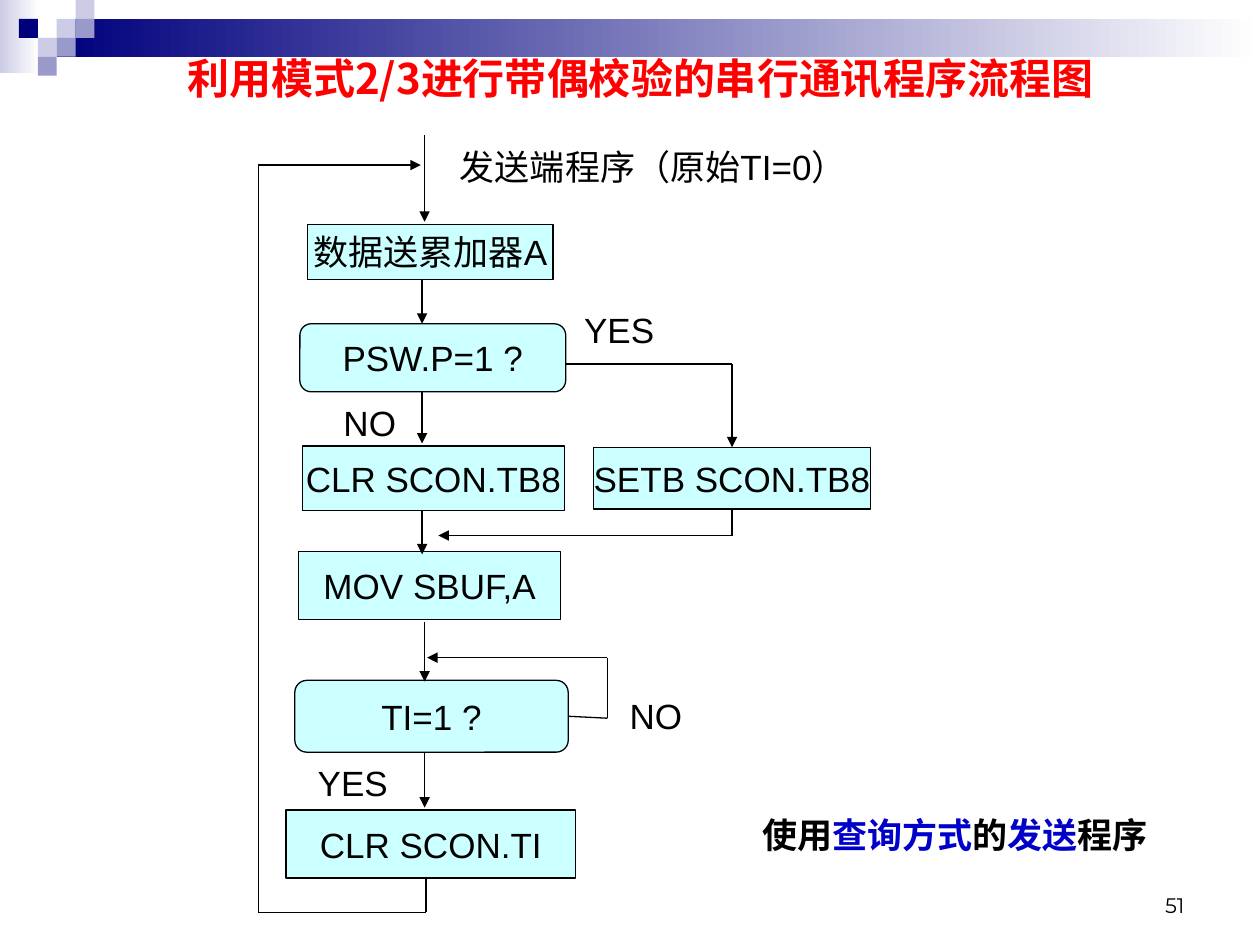
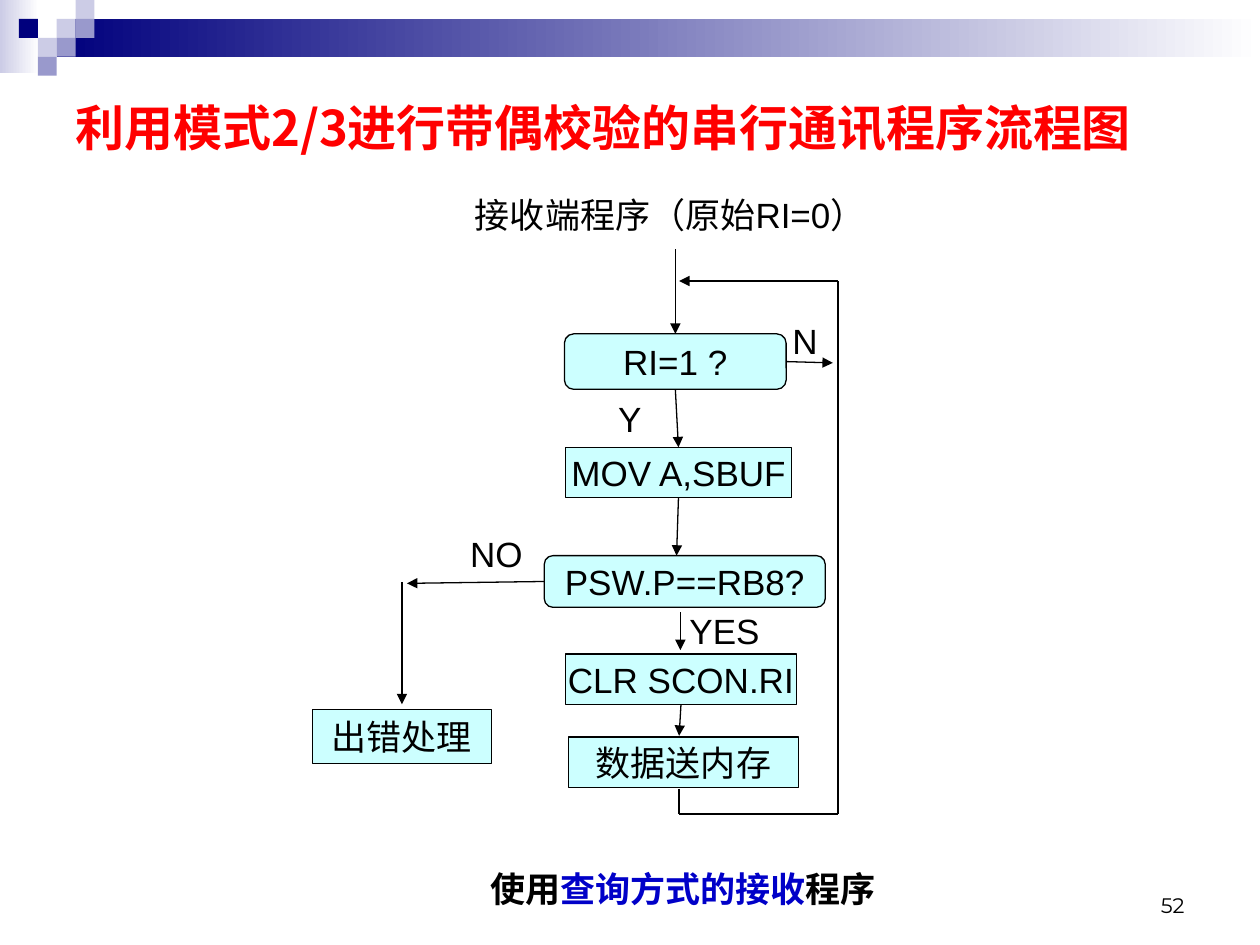
from itertools import pairwise

from lxml import etree
from pptx import Presentation
from pptx.dml.color import RGBColor
from pptx.enum.shapes import MSO_CONNECTOR, MSO_SHAPE
from pptx.enum.text import MSO_ANCHOR, MSO_AUTO_SIZE, PP_ALIGN
from pptx.oxml.ns import qn
from pptx.util import Inches, Pt

NAVY, LAVENDER, PALE = "00007D", "9999CC", "CCCCE6"
WHITE, BLACK, RED, BLUE, CYAN = "FFFFFF", "000000", "FF0000", "0000C8", "CCFFFF"
LATIN, CJK, NUMBER_FONT = "Arial", "Noto Sans CJK SC", "Montserrat"

TITLE = "利用模式2/3进行带偶校验的串行通讯程序流程图"
TITLE_ONLY = 5
CHART_BOX = (2, 1, 5, 6.25)
NUMBER_BOX = (7.17, 6.83, 2.33, 0.5)
STEP, DECISION = MSO_SHAPE.RECTANGLE, MSO_SHAPE.FLOWCHART_ALTERNATE_PROCESS
JOIN_REACH = 0.03

# Squares of the corner ornament: column, row, colour
CORNER_SQUARES = [
    (3, 1, PALE), (4, 0, PALE), (4, 1, LAVENDER), (2, 2, PALE),
    (1, 1, NAVY), (3, 2, LAVENDER), (2, 3, LAVENDER),
]
SQUARE = 0.15

# All flowchart places are relative to the chart box.
SENDER = {
    "steps": [
        (STEP, "数据送累加器A", (0.44, 0.78, 1.95, 0.44)),
        (DECISION, "PSW.P=1 ?", (0.38, 1.57, 2.11, 0.54)),
        (STEP, "CLR SCON.TB8", (0.4, 2.54, 2.08, 0.51)),
        (STEP, "SETB SCON.TB8", (2.71, 2.55, 2.2, 0.49)),
        (STEP, "MOV SBUF,A", (0.37, 3.38, 2.08, 0.54)),
        (DECISION, "TI=1 ?", (0.34, 4.4, 2.17, 0.57)),
        (STEP, "CLR SCON.TI", (0.27, 5.43, 2.3, 0.54)),
    ],
    "flows": [
        [(1.37, 0.07), (1.37, 0.76)],
        [(1.35, 1.22), (1.35, 1.57)],
        [(1.35, 2.11), (1.35, 2.52)],
        [(1.35, 3.05), (1.35, 3.4)],
        [(1.37, 3.94), (1.37, 4.41)],
        [(1.37, 4.97), (1.37, 5.41)],
        [(2.49, 1.89), (3.81, 1.89), (3.81, 2.52)],
        [(3.81, 3.05), (3.81, 3.25), (1.48, 3.25)],
        [(2.51, 4.7), (2.82, 4.7), (2.82, 4.22), (1.39, 4.22)],
        [(1.38, 5.98), (1.38, 6.24), (0.05, 6.24), (0.05, 0.31), (1.34, 0.31)],
    ],
    "labels": [
        ("发送端程序（原始TI=0）", (1.68, 0.08, 3.01, 0.48)),
        ("YES", (2.58, 1.41, 0.67, 0.41)),
        ("NO", (0.6, 2.17, 0.67, 0.36)),
        ("NO", (2.92, 4.46, 0.57, 0.44)),
        ("YES", (0.4, 5.02, 0.8, 0.38)),
    ],
}

RECEIVER = {
    "steps": [
        (DECISION, "RI=1 ?", (2.48, 1.65, 1.76, 0.44)),
        (STEP, "MOV A,SBUF", (2.49, 2.55, 1.79, 0.4)),
        (DECISION, "PSW.P==RB8?", (2.32, 3.41, 2.23, 0.41)),
        (STEP, "出错处理", (0.48, 4.63, 1.42, 0.43)),
        (STEP, "CLR SCON.RI", (2.49, 4.19, 1.83, 0.4)),
        (STEP, "数据送内存", (2.51, 4.85, 1.83, 0.4)),
    ],
    "flows": [
        [(3.36, 0.98), (3.36, 1.63)],
        [(3.37, 2.11), (3.37, 2.54)],
        [(3.37, 2.97), (3.37, 3.41)],
        [(3.4, 3.86), (3.4, 4.16)],
        [(3.39, 4.6), (3.39, 4.84)],
        [(2.32, 3.63), (1.23, 3.63)],
        [(1.19, 3.62), (1.19, 4.59)],
        [(4.24, 1.88), (4.61, 1.88)],
        [(3.39, 5.26), (3.39, 5.46), (4.65, 5.46), (4.65, 1.23), (3.39, 1.23)],
    ],
    "labels": [
        ("接收端程序（原始RI=0）", (1.71, 0.47, 3.22, 0.47)),
        ("N", (4.17, 1.48, 0.44, 0.44)),
        ("Y", (2.78, 2.1, 0.44, 0.44)),
        ("NO", (1.61, 3.19, 0.66, 0.4)),
        ("YES", (3.44, 3.8, 0.62, 0.41)),
    ],
}


def rgb(hex_colour):
    return RGBColor.from_string(hex_colour)


def inches(box):
    return [Inches(length) for length in box]


def within(box, part):
    """Turn a part's place inside box into a place on the slide."""
    return (box[0] + part[0], box[1] + part[1], *part[2:])


def write(shape, runs, size=20, font=LATIN, bold=False, colour=BLACK,
          align=PP_ALIGN.CENTER, anchor=MSO_ANCHOR.MIDDLE, wrap=False):
    """Fill a shape with one paragraph; runs is text or (text, colour) pairs."""
    frame = shape.text_frame
    frame.auto_size = MSO_AUTO_SIZE.NONE
    frame.word_wrap = wrap
    frame.vertical_anchor = anchor
    paragraph = frame.paragraphs[0]
    paragraph.alignment = align
    if isinstance(runs, str):
        runs = [(runs, colour)]
    for words, run_colour in runs:
        run = paragraph.add_run()
        run.text = words
        run.font.size = Pt(size)
        run.font.bold = bold
        run.font.color.rgb = rgb(run_colour)
        run.font.name = font
        east_asian = etree.Element(qn("a:ea"), typeface=CJK)
        run.font._element.find(qn("a:latin")).addnext(east_asian)


def add_label(slide, box, runs, **text_format):
    write(slide.shapes.add_textbox(*inches(box)), runs, **text_format)


def add_block(slide, kind, box, fill, outline=None):
    """Add a preset shape; fill is one colour or a pair for a gradient."""
    block = slide.shapes.add_shape(kind, *inches(box))
    block.shadow.inherit = False
    if isinstance(fill, str):
        block.fill.solid()
        block.fill.fore_color.rgb = rgb(fill)
    else:
        block.fill.gradient()
        block.fill.gradient_angle = 0
        for stop, colour in zip(block.fill.gradient_stops, fill):
            stop.color.rgb = rgb(colour)
    if outline:
        block.line.color.rgb = rgb(outline)
        block.line.width = Pt(0.75)
    else:
        block.line.fill.background()
    return block


def join(connect, point, blocks):
    """Attach a connector's end to the block side whose middle it meets."""
    for block, (left, top, width, height) in blocks:
        middle, centre = left + width / 2, top + height / 2
        sides = [(middle, top), (left, centre),
                 (middle, top + height), (left + width, centre)]
        for site, (x, y) in enumerate(sides):
            if abs(x - point[0]) < JOIN_REACH and abs(y - point[1]) < JOIN_REACH:
                connect(block, site)


def add_flow(slide, points, blocks):
    """Draw straight connectors through the points, with an arrow at the end."""
    for start, end in pairwise(points):
        connector = slide.shapes.add_connector(
            MSO_CONNECTOR.STRAIGHT, *inches((*start, *end)))
        connector.line.color.rgb = rgb(BLACK)
        connector.line.width = Pt(0.75)
        etree.SubElement(connector._element.spPr, qn("a:effectLst"))
        join(connector.begin_connect, start, blocks)
        join(connector.end_connect, end, blocks)
    etree.SubElement(connector.line._get_or_add_ln(), qn("a:tailEnd"),
                     type="triangle")


def add_flowchart(slide, box, steps, flows, labels):
    blocks = []
    for kind, words, part in steps:
        place = within(box, part)
        block = add_block(slide, kind, place, CYAN, BLACK)
        write(block, words)
        blocks.append((block, place))
    for points in flows:
        add_flow(slide, [within(box, point) for point in points], blocks)
    for words, part in labels:
        add_label(slide, within(box, part), words)


def add_header_band(slide, box):
    left_bar, band = (0, 0, 0.31, 0.58), (0.45, 0.15, box[2] - 0.45, 0.3)
    add_block(slide, STEP, within(box, left_bar), (PALE, WHITE))
    add_block(slide, STEP, within(box, band), (NAVY, WHITE))
    for column, row, colour in CORNER_SQUARES:
        square = (column * SQUARE, row * SQUARE, SQUARE, SQUARE)
        add_block(slide, STEP, within(box, square), colour)


def add_title(slide, box, **text_format):
    title = slide.shapes.title
    title.left, title.top, title.width, title.height = inches(box)
    write(title, TITLE, font=CJK, bold=True, colour=RED, wrap=True, **text_format)
    slide.shapes._spTree.append(title._element)


def add_flow_slide(deck, number, chart, title_box, title_format, caption_box, caption):
    slide = deck.slides.add_slide(deck.slide_layouts[TITLE_ONLY])
    add_header_band(slide, (0, 0, 10, 0.6))
    add_title(slide, title_box, **title_format)
    add_flowchart(slide, CHART_BOX, **chart)
    add_label(slide, caption_box, caption, bold=True)
    add_label(slide, NUMBER_BOX, str(number), size=12, font=NUMBER_FONT,
              align=PP_ALIGN.RIGHT, anchor=MSO_ANCHOR.BOTTOM, wrap=True)


def main():
    deck = Presentation()
    deck.slide_width, deck.slide_height = Inches(10), Inches(7.5)
    add_flow_slide(
        deck, 51, SENDER, (0.79, 0.36, 8.58, 0.52), {"size": 24},
        (5.39, 6.35, 4.38, 0.55),
        [("使用", BLACK), ("查询方式", BLUE), ("的", BLACK),
         ("发送", BLUE), ("程序", BLACK)])
    add_flow_slide(
        deck, 52, RECEIVER, (0.5, 0.5, 8.79, 1.02),
        {"size": 28, "align": PP_ALIGN.LEFT},
        (3.23, 6.78, 4.38, 0.55),
        [("使用", BLACK), ("查询方式的接收", BLUE), ("程序", BLACK)])
    deck.save("out.pptx")


if __name__ == "__main__":
    main()
